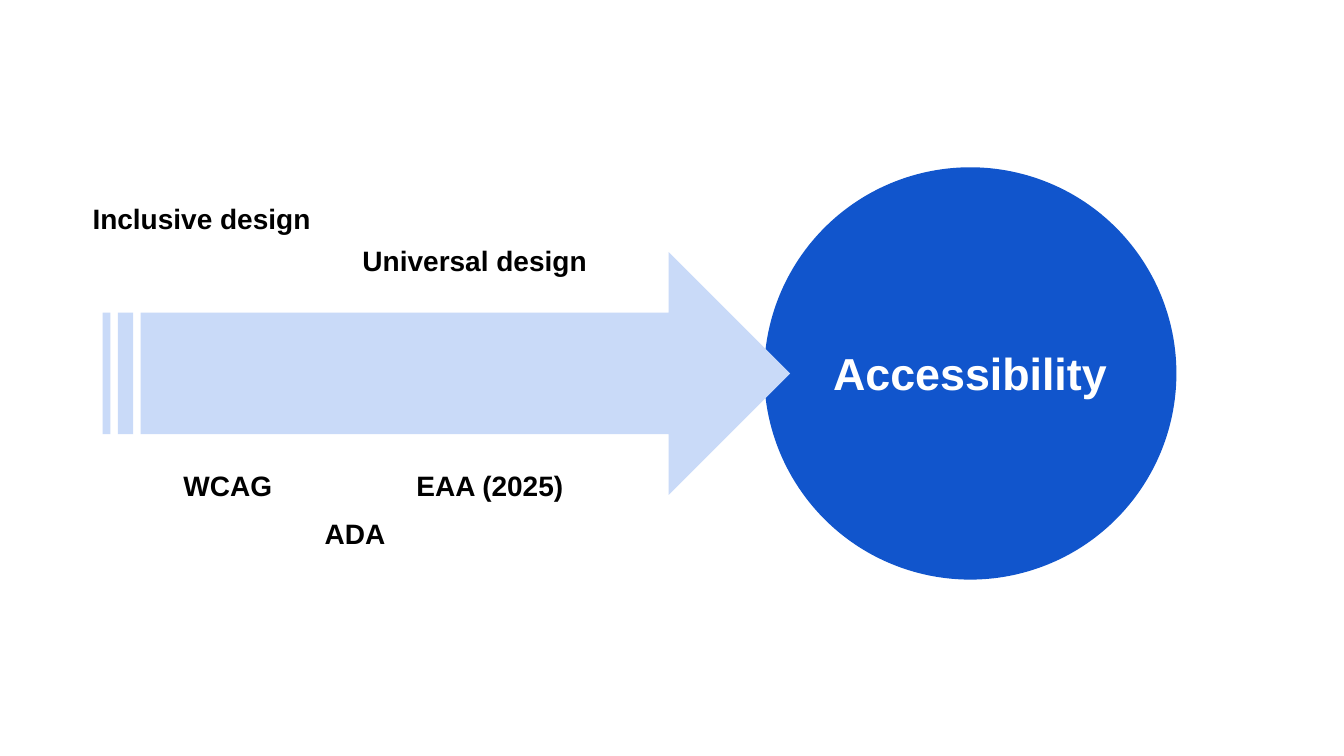
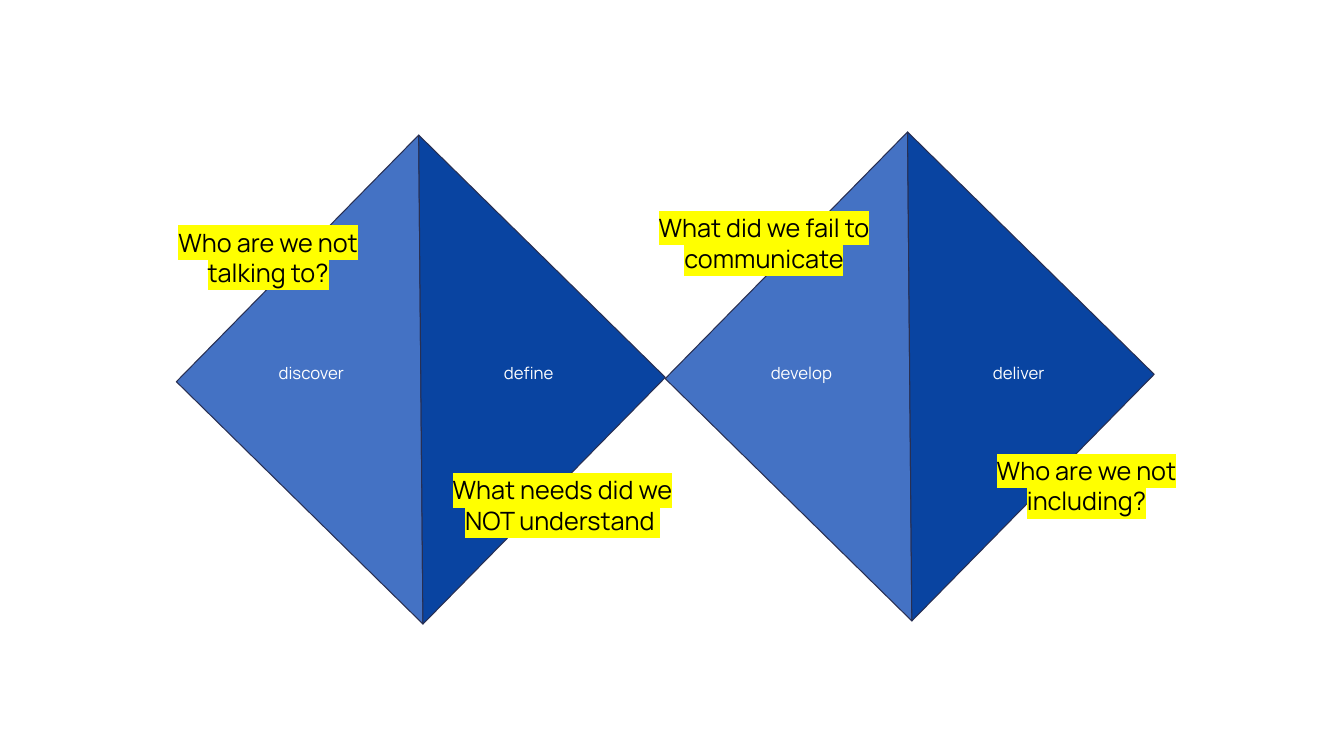
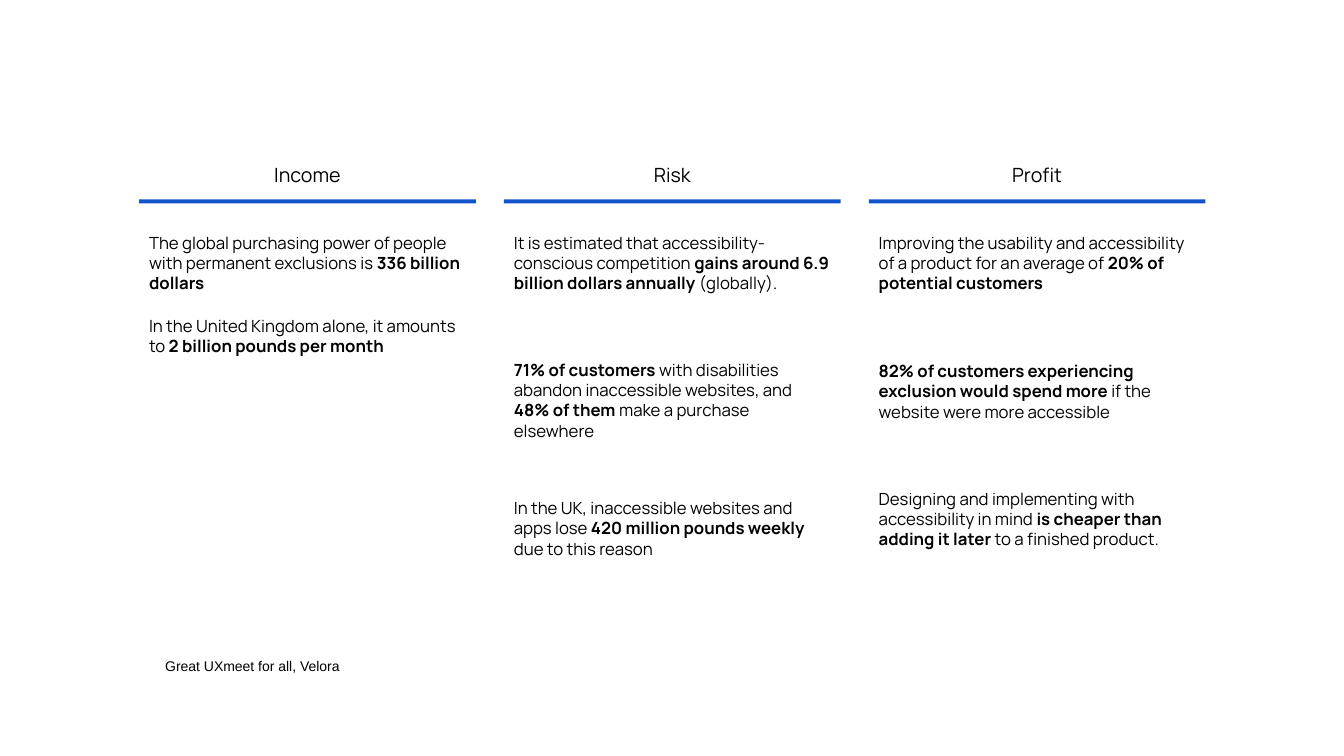
"""Build three accessibility slides: the arrow, the double diamond and the business case."""
from lxml.etree import SubElement
from pptx import Presentation
from pptx.dml.color import RGBColor
from pptx.enum.shapes import MSO_SHAPE
from pptx.enum.text import MSO_ANCHOR, PP_ALIGN
from pptx.oxml.ns import qn
from pptx.util import Pt

COLORS = {
    "black": "000000", "white": "FFFFFF", "accent": "1155CC", "arrow": "C9DAF8",
    "diamond_left": "4472C4", "diamond_right": "0944A1", "outline": "282F52",
    "highlight": "FFFF00",
}
HEADING_FONT, BODY_FONT = "Arial", "Manrope"
INSET = 7.2

INFLUENCES = [
    ("Inclusive design", 33.1, 136.8),
    ("WCAG", 51.8, 327.6),
    ("ADA", 142.6, 361.4),
    ("EAA (2025)", 239, 327.6),
    ("Universal design", 228.2, 167),
]

DIAMONDS = [
    (177.1, 147.6, 145.4, ("discover", "define")),
    (526.3, 145.4, 495.4, ("develop", "deliver")),
]
DIAMOND_SIDE = 247
DIAMOND_TILT = 44.5
PHASE_WIDTH = 154.1
PHASE_PITCH = 155.2
QUESTIONS = [
    ("What needs did we NOT understand ", 303.8, 331.9),
    ("Who are we not talking to?", 93.6, 154.8),
    ("What did we fail to communicate", 447.8, 144.7),
    ("Who are we not including?", 678.2, 318.2),
]

COLUMN_LEFT, COLUMN_WIDTH, COLUMN_GAP = 99.4, 240.5, 20.1
BENEFITS = [
    ("Income", [
        (159.1, 66.2, "The global purchasing power of people with permanent exclusions is "
                      "*336 billion dollars*"),
        (218.2, 66.2, "In the United Kingdom alone, it amounts to *2 billion pounds per month*"),
    ]),
    ("Risk", [
        (159.1, 86.4, "It is estimated that accessibility-conscious competition "
                      "*gains around 6.9 billion dollars annually* (globally)."),
        (249.8, 97.9, "*71% of customers* with disabilities abandon inaccessible websites, "
                      "and *48% of them *make a purchase elsewhere"),
        (348.5, 108, "In the UK, inaccessible websites and apps lose "
                     "*420 million pounds weekly *due to this reason"),
    ]),
    ("Profit", [
        (159.1, 66.2, "Improving the usability and accessibility of a product for an average "
                      "of *20% of potential customers*"),
        (250.6, 66.2, "*82% of customers experiencing exclusion would spend more* "
                      "if the website were more accessible"),
        (342, 108, "Designing and implementing with accessibility in mind "
                   "*is cheaper than adding it later* to a finished product."),
    ]),
]
SOURCE = "Great UXmeet for all, Velora"


def rgb(name):
    return RGBColor.from_string(COLORS[name])


def add_block(slide, kind, box, fill, line=None, rotation=0):
    shape = slide.shapes.add_shape(kind, *map(Pt, box))
    shape.shadow.inherit = False
    shape.rotation = rotation
    shape.fill.solid()
    shape.fill.fore_color.rgb = rgb(fill)
    if line:
        shape.line.color.rgb = rgb(line)
        shape.line.width = Pt(0.75)
    else:
        shape.line.fill.background()
    return shape


def write(shape, text, font, size, color="black", bold=False, align=PP_ALIGN.CENTER,
          highlight=None, inset=INSET):
    """Write text in a shape; parts between asterisks are bold."""
    frame = shape.text_frame
    frame.word_wrap = True
    frame.margin_left = frame.margin_right = Pt(INSET)
    frame.margin_top = frame.margin_bottom = Pt(inset)
    paragraph = frame.paragraphs[0]
    paragraph.alignment = align
    for index, part in enumerate(text.split("*")):
        if not part:
            continue
        run = paragraph.add_run()
        run.text = part
        run.font.size = Pt(size)
        run.font.bold = bold or index % 2 == 1
        run.font.color.rgb = rgb(color)
        if highlight:
            mark = SubElement(run.font.fill._xPr, qn("a:highlight"))
            SubElement(mark, qn("a:srgbClr")).set("val", COLORS[highlight])
        run.font.name = font


def add_text(slide, box, text, font, size, **style):
    write(slide.shapes.add_textbox(*map(Pt, box)), text, font, size, **style)


def build_arrow(slide):
    add_block(slide, MSO_SHAPE.OVAL, (545.8, 119.5, 294.5, 294.5), "accent")
    add_text(slide, (563, 239.8, 260, 53.3), "Accessibility", HEADING_FONT, 32,
             color="white", bold=True)
    add_block(slide, MSO_SHAPE.STRIPED_RIGHT_ARROW, (73.4, 180, 491, 173.5), "arrow")
    for text, left, top in INFLUENCES:
        add_text(slide, (left, top, 221.8, 38.9), text, HEADING_FONT, 20, bold=True)


def build_diamonds(slide):
    for left, top, phase_left, phases in DIAMONDS:
        for side, fill in enumerate(("diamond_left", "diamond_right")):
            add_block(slide, MSO_SHAPE.RIGHT_TRIANGLE,
                      (left, top, DIAMOND_SIDE, DIAMOND_SIDE), fill,
                      line="outline", rotation=DIAMOND_TILT + 180 * side)
        for side, phase in enumerate(phases):
            add_text(slide, (phase_left + side * PHASE_PITCH, 252, PHASE_WIDTH, 38.2),
                     phase, BODY_FONT, 12, color="white")
    for text, left, top in QUESTIONS:
        add_text(slide, (left, top, 195.8, 58.3), text, BODY_FONT, 18,
                 highlight="highlight")


def build_benefits(slide):
    add_text(slide, (110.9, 465.8, 480, 19.4), SOURCE, HEADING_FONT, 10,
             align=PP_ALIGN.LEFT, inset=3.6)
    for index, (heading, facts) in enumerate(BENEFITS):
        left = COLUMN_LEFT + index * (COLUMN_WIDTH + COLUMN_GAP)
        header = add_block(slide, MSO_SHAPE.RECTANGLE, (left, 108, COLUMN_WIDTH, 33.8), "white")
        header.text_frame.vertical_anchor = MSO_ANCHOR.MIDDLE
        write(header, heading, BODY_FONT, 14)
        add_block(slide, MSO_SHAPE.RECTANGLE, (left, 142.4, COLUMN_WIDTH, 2.9), "accent")
        for top, height, text in facts:
            add_text(slide, (left, top, COLUMN_WIDTH, height), text, BODY_FONT, 12,
                     align=PP_ALIGN.LEFT)


def main():
    presentation = Presentation()
    presentation.slide_width, presentation.slide_height = Pt(960), Pt(540)
    blank_layout = presentation.slide_layouts.get_by_name("Blank")
    for build in (build_arrow, build_diamonds, build_benefits):
        build(presentation.slides.add_slide(blank_layout))
    presentation.save("out.pptx")


if __name__ == "__main__":
    main()
